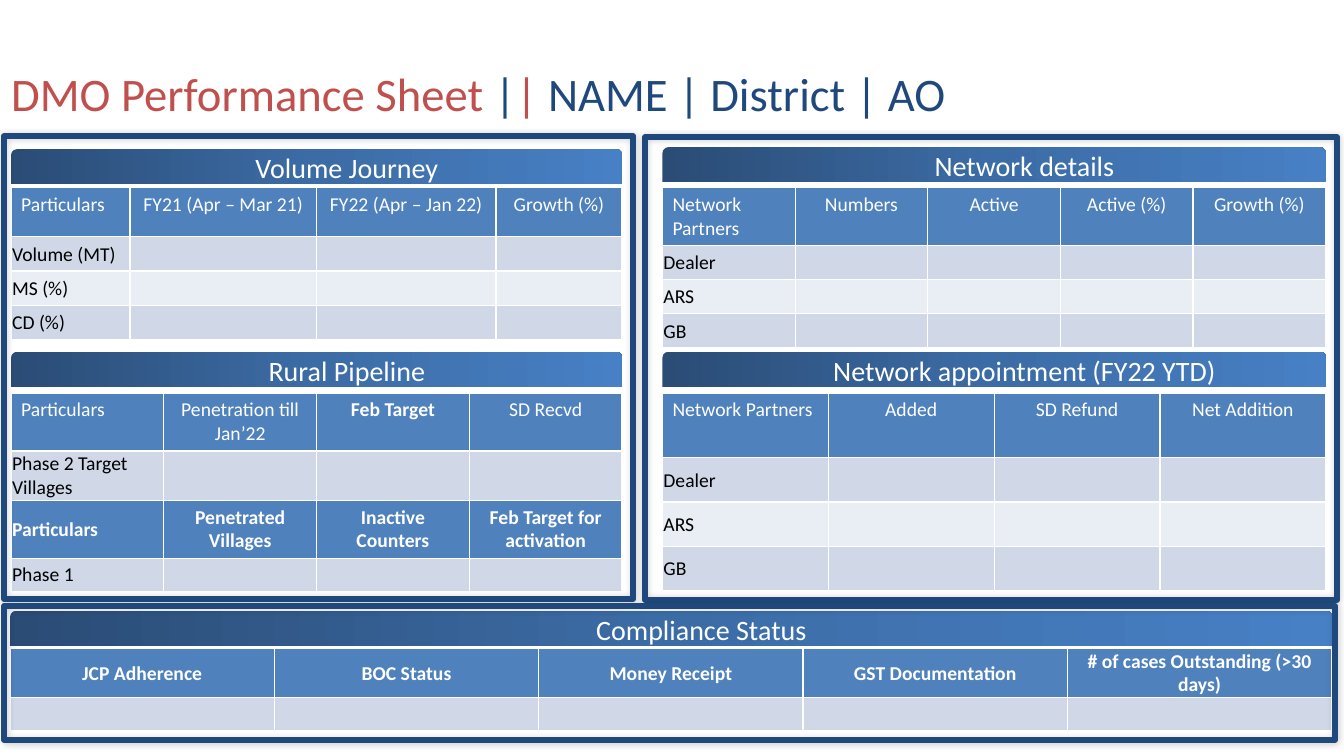
"""Build a one-page performance sheet with five titled tables in three frames."""
from copy import deepcopy

from lxml.etree import SubElement
from pptx import Presentation
from pptx.dml.color import RGBColor
from pptx.enum.shapes import MSO_SHAPE
from pptx.enum.text import MSO_ANCHOR, MSO_AUTO_SIZE, PP_ALIGN
from pptx.oxml.ns import qn
from pptx.util import Inches, Pt

THEME = {
    "font": "Calibri",
    "red": "C0504D",
    "navy": "1F497D",
    "white": "FFFFFF",
    "black": "000000",
    "header": "4F81BD",
    "bands": ["D0D8E8", "E9EDF4"],
    "gradient": {0: "2A4C75", 0.5: "3C6CA6", 1: "4780C5"},
    "title_size": 33.3,
    "banner_size": 20,
    "table_size": 14,
    "frame_line": 4.25,
}
NO_INSETS = dict.fromkeys(("margin_left", "margin_top", "margin_right", "margin_bottom"), 0)
TIGHT = {**NO_INSETS, "margin_left": Inches(0.01), "margin_top": Inches(0.01),
         "margin_right": Inches(0.01), "vertical_anchor": MSO_ANCHOR.MIDDLE}
BANNER = {**NO_INSETS, "margin_left": Inches(0.7), "margin_right": Inches(0.1),
          "vertical_anchor": MSO_ANCHOR.MIDDLE, "word_wrap": True}
TITLE = {**NO_INSETS, "vertical_anchor": MSO_ANCHOR.MIDDLE, "word_wrap": True,
         "auto_size": MSO_AUTO_SIZE.NONE}


def set_format(target, values):
    """Set each named value on the target."""
    for name, value in values.items():
        setattr(target, name, value)


def write(para, words, size, color, bold=False, align=PP_ALIGN.CENTER):
    """Add a formatted span to a paragraph."""
    para.alignment = align
    span = para.add_run()
    span.text = words
    set_format(span.font, {"name": THEME["font"], "size": Pt(size), "bold": bold})
    span.font.color.rgb = RGBColor.from_string(color)


deck = Presentation()
set_format(deck, {"slide_width": Inches(13.33), "slide_height": Inches(7.5)})
page = deck.slides.add_slide(deck.slide_layouts[5])

title = page.shapes.title
set_format(title, {"left": Inches(0.11), "top": Inches(0.62),
                   "width": Inches(12), "height": Inches(0.6)})
set_format(title.text_frame, TITLE)
for words, color in [("DMO Performance Sheet ", "red"), ("|", "navy"),
                     ("|", "red"), (" NAME | District | AO", "navy")]:
    write(title.text_frame.paragraphs[0], words, THEME["title_size"], THEME[color],
          align=PP_ALIGN.LEFT)

LEFT, RIGHT, FULL = (0.11, 6.06), (6.57, 6.58), (0.1, 13.11)
PARTNERS = [["Dealer"], ["ARS"], ["GB"]]
panels = [
    {"title": "Volume Journey", "span": LEFT, "banner": 1.48, "top": 1.86,
     "columns": [1.18, 1.85, 1.78, 1.25], "rows": [0.49] + [0.34] * 3,
     "cells": [["Particulars", "FY21 (Apr – Mar 21)", "FY22 (Apr – Jan 22)", "Growth (%)"],
               ["Volume (MT)"], ["MS (%)"], ["CD (%)"]]},
    {"title": "Network details", "span": RIGHT, "banner": 1.46, "top": 1.86,
     "columns": [1] * 5, "rows": [0.57] + [0.34] * 3,
     "cells": [["Network Partners", "Numbers", "Active", "Active (%)", "Growth (%)"], *PARTNERS]},
    {"title": "Rural Pipeline", "span": LEFT, "banner": 3.49, "top": 3.9,
     "columns": [1] * 4, "rows": [0.57, 0.49, 0.57, 0.33],
     "headers": [0, 2], "bold": [(0, 2), (2, 0), (2, 1), (2, 2), (2, 3)],
     "cells": [["Particulars", "Penetration till Jan’22", "Feb Target", "SD Recvd"],
               ["Phase 2 Target Villages"],
               ["Particulars", "Penetrated Villages", "Inactive Counters",
                "Feb Target for activation"],
               ["Phase 1"]]},
    {"title": "Network appointment (FY22 YTD)", "span": RIGHT, "banner": 3.49, "top": 3.9,
     "columns": [1] * 4, "rows": [0.64] + [0.44] * 3,
     "cells": [["Network Partners", "Added", "SD Refund", "Net Addition"], *PARTNERS]},
    {"title": "Compliance Status", "span": FULL, "banner": 6.06, "top": 6.43,
     "columns": [1] * 5, "rows": [0.49, 0.33], "compact": True,
     "bold": [(0, column) for column in range(5)],
     "cells": [["JCP Adherence", "BOC Status", "Money Receipt", "GST Documentation",
                "# of cases Outstanding (>30 days)"], []]},
]

for panel in panels:
    left, width = panel["span"]
    compact = panel.get("compact", False)
    headers = panel.get("headers", [0])

    banner = page.shapes.add_shape(MSO_SHAPE.ROUND_2_SAME_RECTANGLE, Inches(left),
                                   Inches(panel["banner"]), Inches(width), Inches(0.35))
    banner.shadow.inherit = False
    banner.line.fill.background()
    banner.fill.gradient()
    banner.fill.gradient_angle = 0
    stop_list = banner.fill.gradient_stops and banner._element.spPr.find(".//" + qn("a:gsLst"))
    stop_list.insert(1, deepcopy(stop_list[0]))
    for stop, (position, color) in zip(banner.fill.gradient_stops, THEME["gradient"].items()):
        stop.position = position
        stop.color.rgb = RGBColor.from_string(color)
    set_format(banner.text_frame, BANNER)
    write(banner.text_frame.paragraphs[0], panel["title"], THEME["banner_size"], THEME["white"])

    table = page.shapes.add_table(len(panel["rows"]), len(panel["columns"]), Inches(left),
                                  Inches(panel["top"]), Inches(width),
                                  Inches(sum(panel["rows"]))).table
    table.first_row = not compact
    for column, share in zip(table.columns, panel["columns"]):
        column.width = Inches(width * share / sum(panel["columns"]))
    for row_index, height in enumerate(panel["rows"]):
        table.rows[row_index].height = Inches(height)
        is_header = row_index in headers
        fill = THEME["header"] if is_header else THEME["bands"][(row_index + 1) % 2]
        if len(headers) > 1 and not is_header:
            fill = THEME["bands"][0]
        for cell in table.rows[row_index].cells:
            cell.fill.solid()
            cell.fill.fore_color.rgb = RGBColor.from_string(fill)
            if compact or not is_header:
                set_format(cell, TIGHT)
        if is_header and row_index:
            set_format(table.cell(row_index, 0), TIGHT)
        for column_index, words in enumerate(panel["cells"][row_index]):
            centred = column_index or compact
            write(table.cell(row_index, column_index).text_frame.paragraphs[0], words,
                  THEME["table_size"], THEME["white" if is_header else "black"],
                  (row_index, column_index) in panel.get("bold", []),
                  PP_ALIGN.CENTER if centred else PP_ALIGN.LEFT)

for bounds in [(0.04, 1.35, 6.24, 4.59), (6.4, 1.36, 6.86, 4.59), (0.04, 6.01, 13.2, 1.33)]:
    frame = page.shapes.add_shape(MSO_SHAPE.RECTANGLE, *map(Inches, bounds))
    frame.fill.background()
    frame.line.color.rgb = RGBColor.from_string(THEME["navy"])
    frame.line.width = Pt(THEME["frame_line"])
    frame.shadow.inherit = False
    effects = frame._element.spPr.find(qn("a:effectLst"))
    shadow = SubElement(effects, qn("a:outerShdw"), blurRad=str(Pt(5)), dist="0", dir="0")
    shade = SubElement(shadow, qn("a:srgbClr"), val=THEME["black"])
    SubElement(shade, qn("a:alpha"), val="20000")

deck.save("out.pptx")
